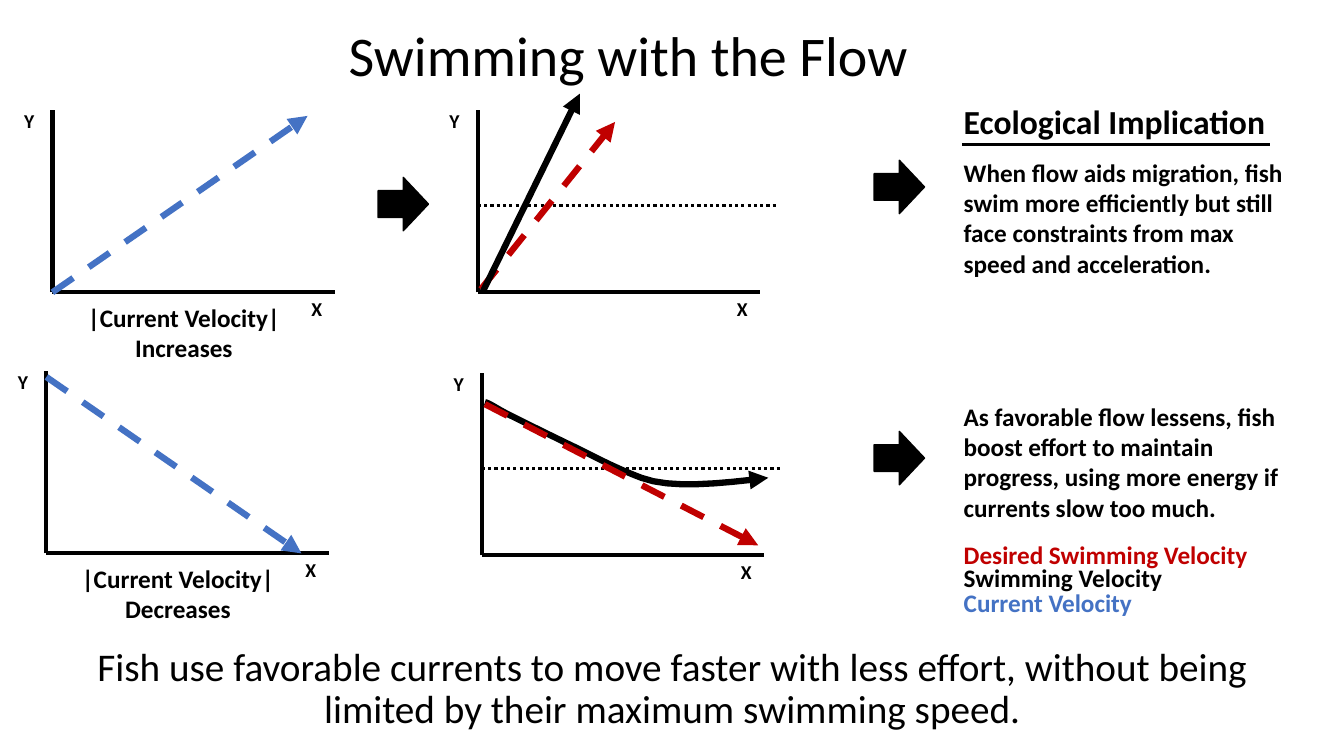
import pptx
import pptx.util
import pptx.dml.color
import pptx.enum.dml
import pptx.enum.shapes
import pptx.enum.text
import pptx.oxml

RGBColor = pptx.dml.color.RGBColor
DASH = pptx.enum.dml.MSO_LINE
ALIGN = pptx.enum.text.PP_ALIGN
ANCHOR = pptx.enum.text.MSO_ANCHOR
SHAPE = pptx.enum.shapes.MSO_SHAPE
NS = 'xmlns:a="http://schemas.openxmlformats.org/drawingml/2006/main"'

BLACK = RGBColor(0x00, 0x00, 0x00)
BLUE = RGBColor(0x44, 0x72, 0xC4)
RED = RGBColor(0xC0, 0x00, 0x00)

WIDE = pptx.util.Inches(13.33)
HIGH = pptx.util.Inches(7.5)
COL = WIDE / 13.33
ROW = HIGH / 7.5
NOTE = 9.46


def place(col, row):
    return round(col * COL), round(row * ROW)


def write(slide, box, lines, size, color=BLACK, bold=True, align=ALIGN.LEFT):
    shape = slide.shapes.add_textbox(*place(*box[:2]), *place(*box[2:]))
    frame = shape.text_frame
    frame.word_wrap = True
    for i, line in enumerate(lines):
        para = frame.paragraphs[0] if i == 0 else frame.add_paragraph()
        para.alignment = align
        run = para.add_run()
        run.text = line
        run.font.name = "Calibri"
        run.font.size = pptx.util.Pt(size)
        run.font.bold = bold
        run.font.color.rgb = color
    return frame


def banner(slide, box, text, size):
    frame = write(slide, box, [text], size, bold=False, align=ALIGN.CENTER)
    frame.vertical_anchor = ANCHOR.MIDDLE
    frame.paragraphs[0].line_spacing = 0.9


def style(line, color, width, dash=None, head=False):
    line.color.rgb = color
    line.width = pptx.util.Pt(width)
    if dash:
        line.dash_style = dash
    if head:
        tail = pptx.oxml.parse_xml(f'<a:tailEnd {NS} type="triangle"/>')
        line._get_or_add_ln().append(tail)


def draw(slide, start, end, color, width, dash=None, head=False):
    kind = pptx.enum.shapes.MSO_CONNECTOR.STRAIGHT
    link = slide.shapes.add_connector(kind, *place(*start), *place(*end))
    style(link.line, color, width, dash, head)
    link._element.spPr.append(pptx.oxml.parse_xml(f"<a:effectLst {NS}/>"))


def trend(slide, start, end, color, dash=DASH.DASH):
    draw(slide, start, end, color, 4.5, dash, True)


def curve(slide, start, parts, steps=8):
    spots = []
    last = start
    for one, two, end in parts:
        for i in range(1, steps + 1):
            t = i / steps
            u = 1 - t
            spots.append(place(*(
                u**3 * a + 3 * u * u * t * b + 3 * u * t * t * c + t**3 * d
                for a, b, c, d in zip(last, one, two, end))))
        last = end
    path = slide.shapes.build_freeform(*place(*start), scale=1.0)
    path.add_line_segments(spots, close=False)
    shape = path.convert_to_shape()
    shape.shadow.inherit = False
    shape.fill.background()
    style(shape.line, BLACK, 4.5, head=True)


def axes(slide, x, y):
    draw(slide, (x, y), (x, y - 1.81), BLACK, 3)
    draw(slide, (x, y), (x + 2.8, y), BLACK, 3)
    write(slide, (x + 2.47, y, 0.65, 0.45), ["X"], 14)
    write(slide, (x - 0.38, y - 1.87, 0.64, 0.45), ["Y"], 14)


def current(slide, x, y, change, start, end):
    axes(slide, x, y)
    write(slide, (x - 0.86, y + 0.05, 4.33, 0.71),
          ["|Current Velocity|", change], 18, align=ALIGN.CENTER)
    trend(slide, (x, y + start), (x + 2.53, y + end), BLUE)


def speed(slide, x, y):
    axes(slide, x, y)
    draw(slide, (x, y - 0.86), (x + 2.98, y - 0.86), BLACK, 2.25,
         DASH.ROUND_DOT)


def block(slide, x, y):
    shape = slide.shapes.add_shape(SHAPE.RIGHT_ARROW, *place(x, y),
                                   *place(0.5, 0.53))
    shape.shadow.inherit = False
    shape.fill.solid()
    shape.fill.fore_color.rgb = BLACK
    style(shape.line, BLACK, 1)


def main():
    deck = pptx.Presentation()
    deck.slide_width, deck.slide_height = WIDE, HIGH
    slide = deck.slides.add_slide(deck.slide_layouts[6])

    banner(slide, (0.48, -0.15, 11.5, 1.45), "Swimming with the Flow", 40)
    banner(slide, (0.35, 6.12, 12.63, 1.45),
           "Fish use favorable currents to move faster with less effort, "
           "without being limited by their maximum swimming speed.", 28)

    current(slide, 0.52, 2.9, "Increases", 0, -1.75)
    current(slide, 0.46, 5.49, "Decreases", -1.75, 0)

    speed(slide, 4.74, 2.9)
    trend(slide, (4.77, 2.87), (6.1, 1.21), RED)
    trend(slide, (4.79, 2.89), (5.75, 0.93), BLACK, None)

    speed(slide, 4.78, 5.51)
    curve(slide, (4.81, 3.99), [
        ((4.86, 4), (4.95, 4.07), (5.1, 4.14)),
        ((5.24, 4.21), (5.46, 4.32), (5.67, 4.42)),
        ((5.88, 4.52), (6.07, 4.63), (6.36, 4.74)),
        ((6.65, 4.85), (7.14, 4.8), (7.62, 4.74))])
    trend(slide, (4.81, 4.01), (7.52, 5.41), RED)

    for spot in [(3.75, 1.76), (8.67, 1.59), (8.67, 4.28)]:
        block(slide, *spot)

    write(slide, (NOTE, 0.95, 3.5, 0.5), ["Ecological Implication"], 24)
    draw(slide, (9.54, 1.43), (12.6, 1.43), BLACK, 2.25)
    for row, text in [
            (1.51, "When flow aids migration, fish swim more efficiently but "
                   "still face constraints from max speed and acceleration."),
            (3.93, "As favorable flow lessens, fish boost effort to maintain "
                   "progress, using more energy if currents slow too much.")]:
        write(slide, (NOTE, row, 3.37, 1.31), [text], 18)
    for row, name, color in [(5.3, "Desired Swimming Velocity", RED),
                             (5.53, "Swimming Velocity", BLACK),
                             (5.78, "Current Velocity", BLUE)]:
        write(slide, (NOTE, row, 3.2, 0.4), [name], 18, color)

    deck.save("out.pptx")


if __name__ == "__main__":
    main()
